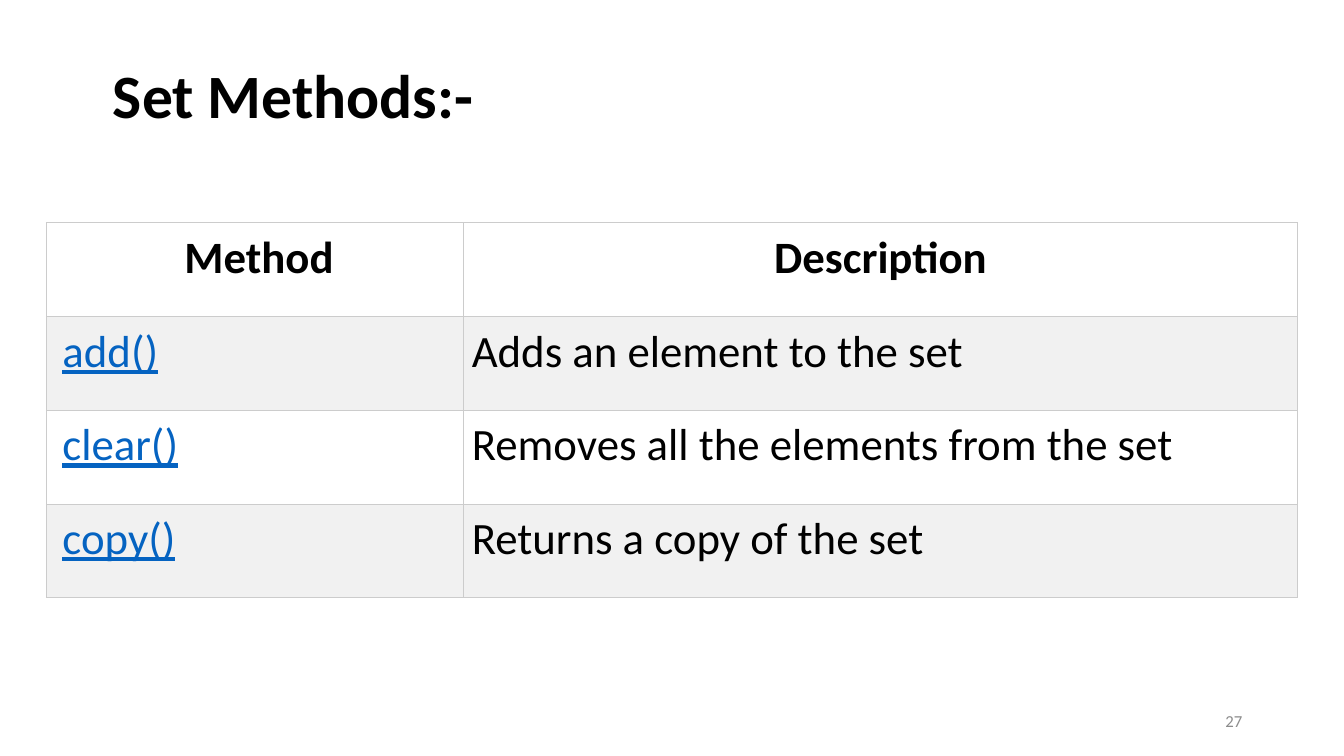
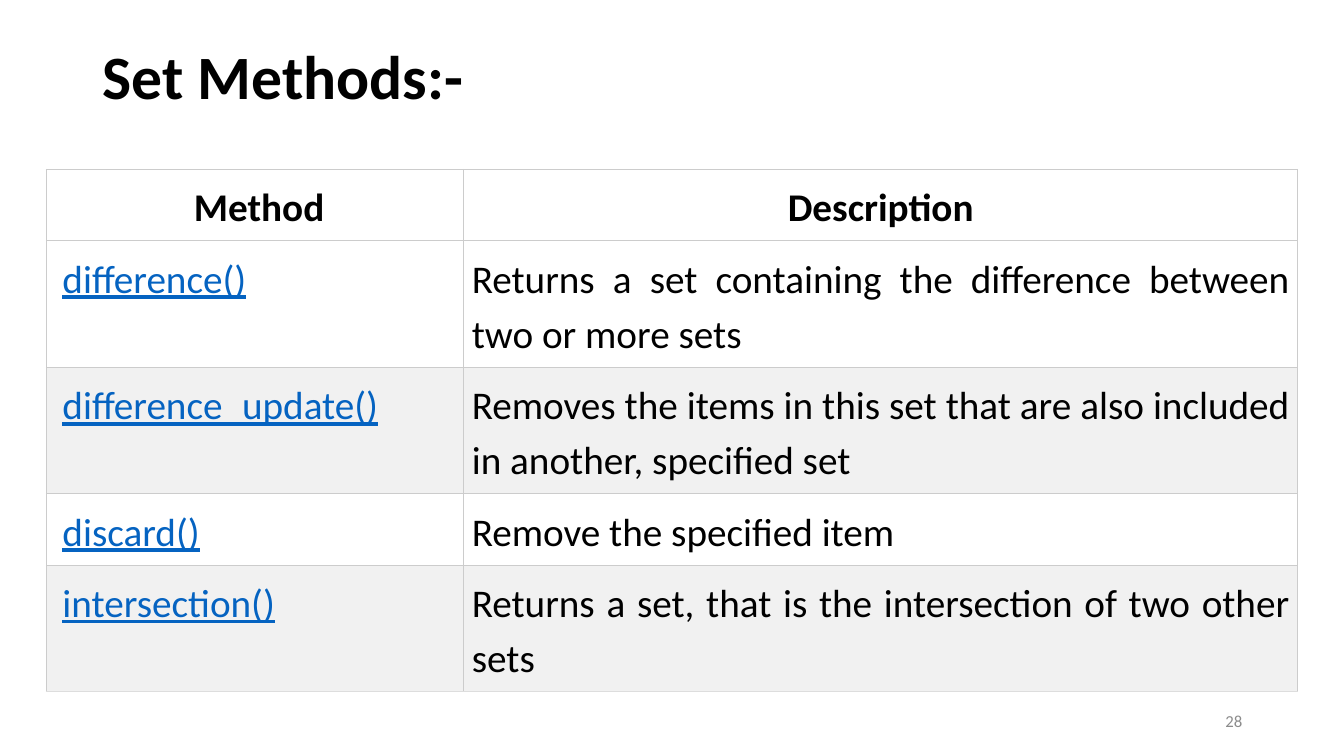
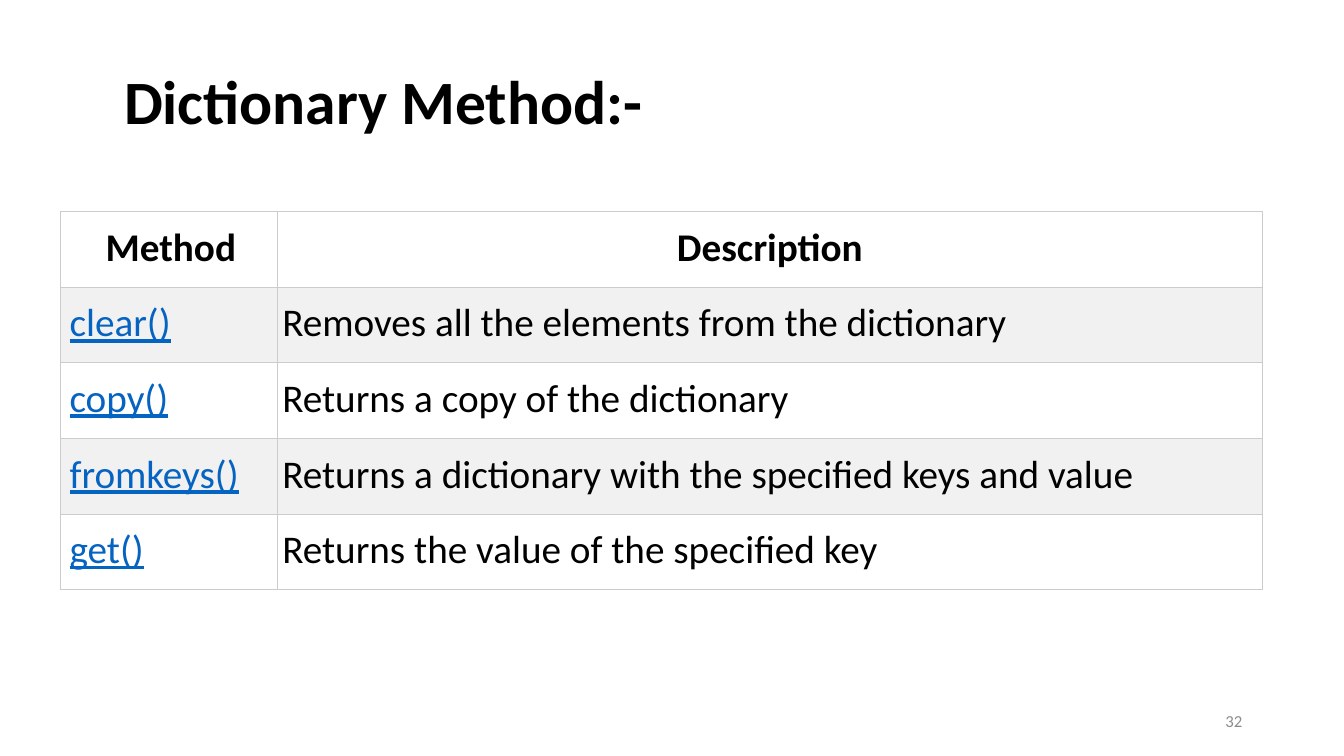
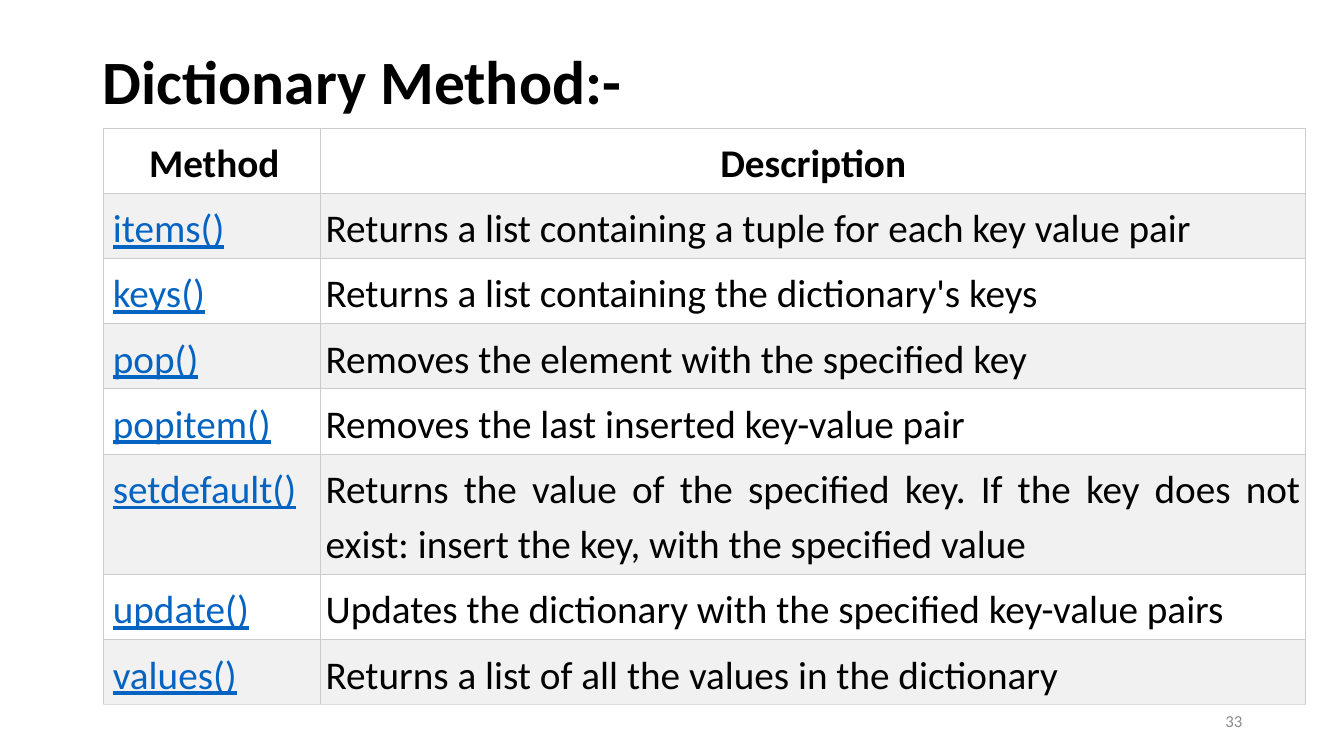
"""Build four slides that tabulate set and dictionary methods."""
from pptx import Presentation
from pptx.dml.color import RGBColor
from pptx.enum import text as t
from pptx.oxml import parse_xml
from pptx.oxml.ns import nsdecls
from pptx.util import Inches, Pt

FONT = "Calibri"
BLACK = RGBColor(0x00, 0x00, 0x00)
WHITE = RGBColor(0xFF, 0xFF, 0xFF)
BAND = RGBColor(0xF1, 0xF1, 0xF1)
LINK = RGBColor(0x05, 0x63, 0xC1)
GRAY = RGBColor(0x8C, 0x8C, 0x8C)
RULE = RGBColor(0xCC, 0xCC, 0xCC)
PALE = RGBColor(0xDD, 0xDD, 0xDD)

LEFT, MID, JUST = t.PP_ALIGN.LEFT, t.PP_ALIGN.CENTER, t.PP_ALIGN.JUSTIFY
HEAD = ("Method", "Description")

SET = dict(cols=(4.14, 8.27), pad=0.08, lead=0.16)
DICT = dict(cols=(2.15, 9.77), pad=0.05, lead=0.09)
LOOSE = dict(size=32, align=LEFT, line=None, gap=None)
DENSE = dict(size=28, align=JUST, line=1.15, gap=6)

SLIDES = [
    dict(SET, **LOOSE, page=27, title="Set Methods:-", box=(1.02, 0.59, 11.5, 0.78),
         at=(0.46, 2.21), high=[0.93] * 4, odd=1, foot=RULE, rows=[
             ("add()", "Adds an element to the set"),
             ("clear()", "Removes all the elements from the set"),
             ("copy()", "Returns a copy of the set")]),
    dict(SET, **DENSE, page=28, title="Set Methods:-", box=(0.92, 0.4, 11.5, 0.78),
         at=(0.46, 1.68), high=[0.71, 1.25, 1.25, 0.71, 1.25], odd=0, foot=PALE, rows=[
             ("difference()", "Returns a set containing the difference between two or more sets"),
             ("difference_update()", "Removes the items in this set that are also included "
              "in another, specified set"),
             ("discard()", "Remove the specified item"),
             ("intersection()", "Returns a set, that is the intersection of two other sets")]),
    dict(DICT, **DENSE, page=32, title="Dictionary Method:-", box=(1.13, 0.6, 11.5, 0.87),
         at=(0.6, 2.1), high=[0.75] * 5, odd=1, foot=RULE, rows=[
             ("clear()", "Removes all the elements from the dictionary"),
             ("copy()", "Returns a copy of the dictionary"),
             ("fromkeys()", "Returns a dictionary with the specified keys and value"),
             ("get()", "Returns the value of the specified key")]),
    dict(DICT, **DENSE, page=33, title="Dictionary Method:-", box=(0.92, 0.4, 11.5, 0.87),
         at=(1.03, 1.27), high=[0.64] * 5 + [1.19] + [0.64] * 2, odd=1, foot=PALE, rows=[
             ("items()", "Returns a list containing a tuple for each key value pair"),
             ("keys()", "Returns a list containing the dictionary's keys"),
             ("pop()", "Removes the element with the specified key"),
             ("popitem()", "Removes the last inserted key-value pair"),
             ("setdefault()", "Returns the value of the specified key. If the key does not "
              "exist: insert the key, with the specified value"),
             ("update()", "Updates the dictionary with the specified key-value pairs"),
             ("values()", "Returns a list of all the values in the dictionary")]),
]


def write(frame, words, size, color, align, bold=False, under=False, line=None, gap=None):
    par = frame.paragraphs[0]
    par.alignment, par.line_spacing = align, line
    if gap is not None:
        par.space_before = Pt(gap)
    run = par.add_run()
    run.text = words
    font = run.font
    font.name, font.size, font.bold, font.underline = FONT, Pt(size), bold, under
    font.color.rgb = color


def edge(cell, foot):
    props = cell._tc.get_or_add_tcPr()
    for side in "LRTB":
        color = foot if side == "B" else RULE
        props.append(parse_xml(
            f'<a:ln{side} {nsdecls("a")} w="{Pt(0.75)}"><a:solidFill>'
            f'<a:srgbClr val="{color}"/></a:solidFill></a:ln{side}>'))


def add_title(slide, data):
    title = slide.shapes.title
    title.left, title.top, title.width, title.height = map(Inches, data["box"])
    frame = title.text_frame
    frame.auto_size = t.MSO_AUTO_SIZE.NONE
    frame.vertical_anchor = t.MSO_ANCHOR.MIDDLE
    write(frame, data["title"], 44, BLACK, LEFT, bold=True, line=0.9)


def add_grid(slide, data):
    rows = [HEAD] + data["rows"]
    size = sum(data["cols"]), sum(data["high"])
    grid = slide.shapes.add_table(len(rows), 2, *map(Inches, data["at"] + size)).table
    grid.first_row = grid.horz_banding = False
    for col, wide in zip(grid.columns, data["cols"]):
        col.width = Inches(wide)
    for r, row in enumerate(rows):
        grid.rows[r].height = Inches(data["high"][r])
        for c, words in enumerate(row):
            cell = grid.cell(r, c)
            cell.margin_left = Inches(data["pad"] if c else data["lead"])
            cell.margin_right = cell.margin_top = cell.margin_bottom = Inches(data["pad"])
            edge(cell, data["foot"] if r == len(rows) - 1 else RULE)
            cell.fill.solid()
            cell.fill.fore_color.rgb = BAND if r and r % 2 == data["odd"] else WHITE
            link = r > 0 and c == 0
            write(cell.text_frame, words, data["size"], LINK if link else BLACK,
                  data["align"] if r else MID, bold=r == 0, under=link,
                  line=data["line"], gap=data["gap"])


def add_page(slide, page):
    box = slide.shapes.add_textbox(*map(Inches, (9.42, 6.95, 3, 0.4)))
    frame = box.text_frame
    frame.word_wrap = True
    frame.vertical_anchor = t.MSO_ANCHOR.MIDDLE
    write(frame, str(page), 12, GRAY, t.PP_ALIGN.RIGHT)


def main():
    deck = Presentation()
    deck.slide_width, deck.slide_height = Inches(13.33), Inches(7.5)
    for data in SLIDES:
        slide = deck.slides.add_slide(deck.slide_layouts[5])
        add_title(slide, data)
        add_grid(slide, data)
        add_page(slide, data["page"])
    deck.save("out.pptx")


if __name__ == "__main__":
    main()
